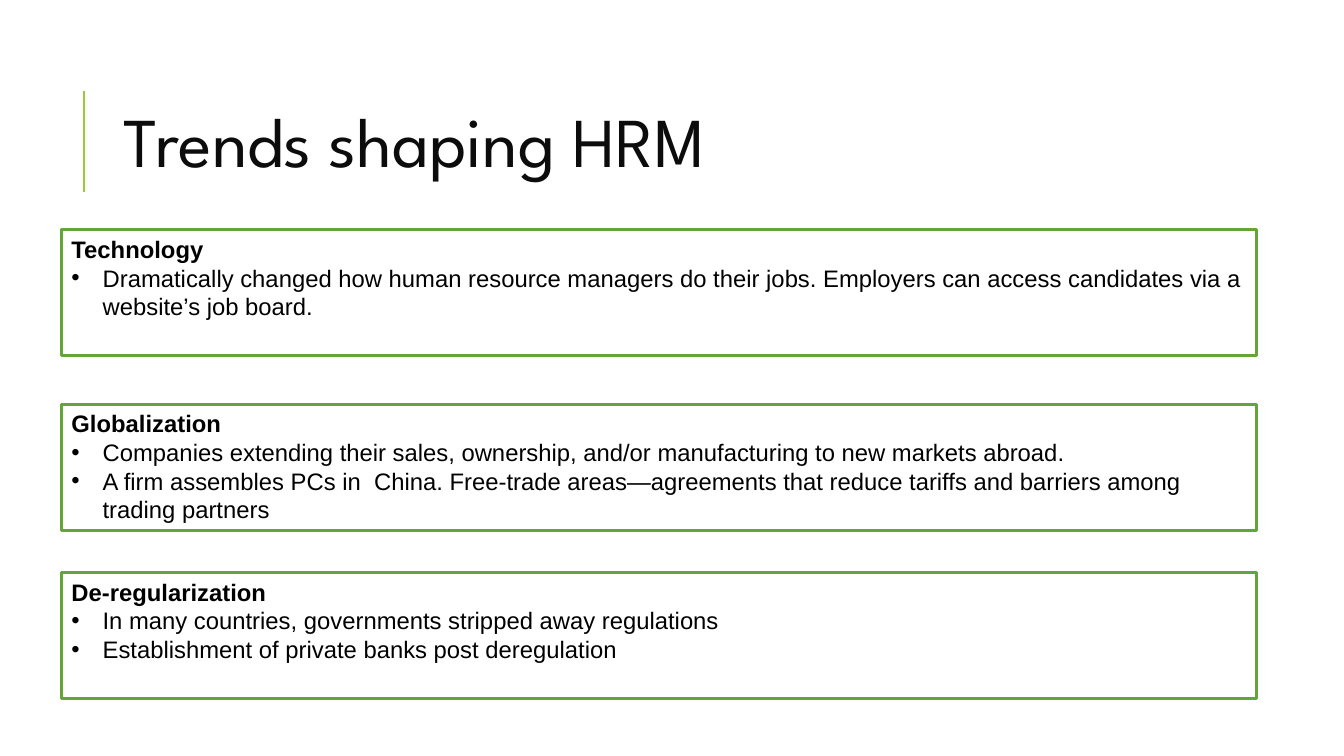
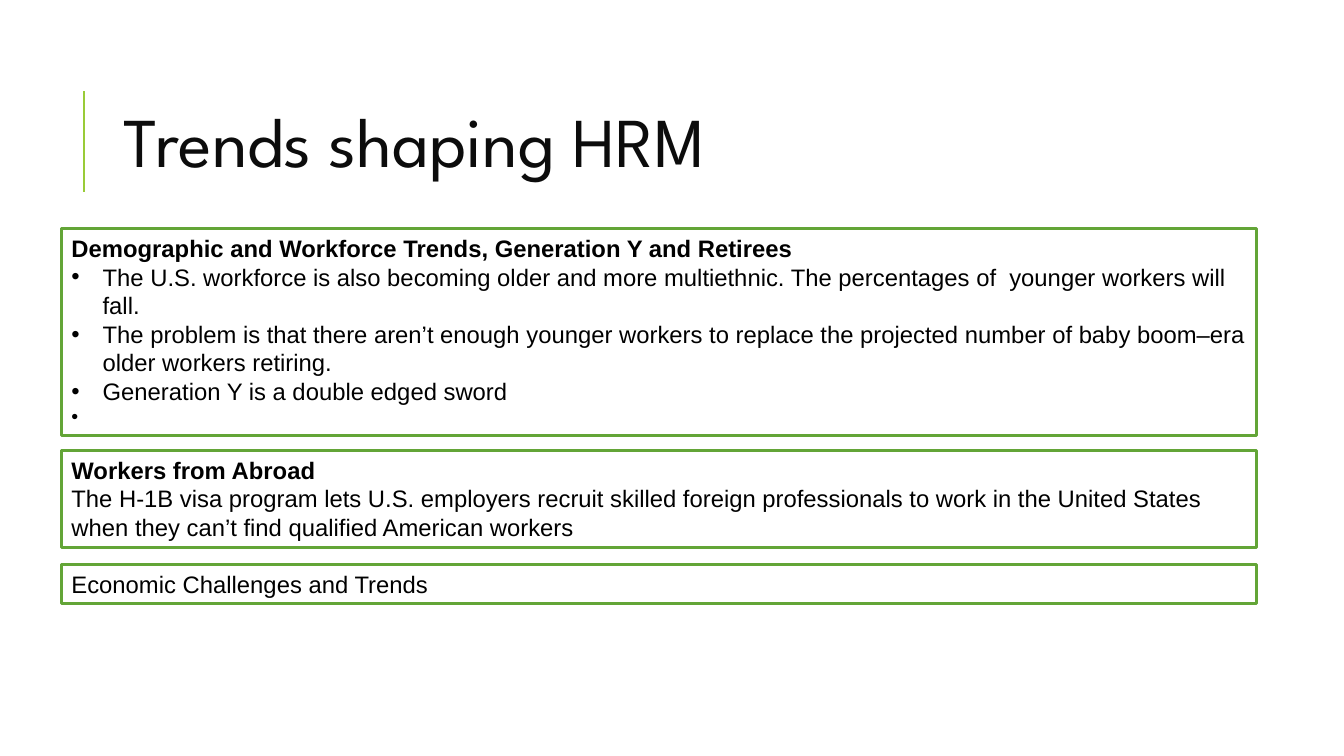
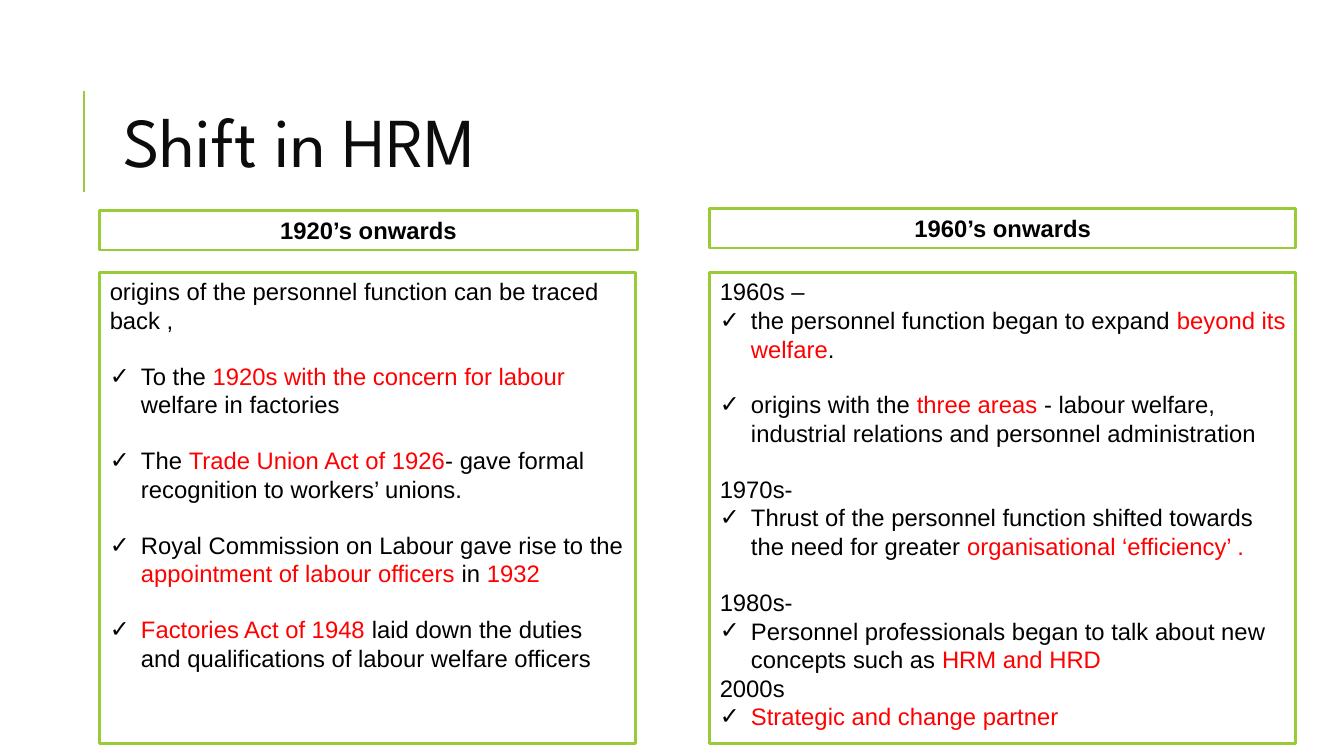
import lxml.etree
import pptx
import pptx.dml.color
import pptx.enum.shapes
import pptx.enum.text
import pptx.oxml.ns
import pptx.util

Inches = pptx.util.Inches
Pt = pptx.util.Pt
ALIGN = pptx.enum.text.PP_ALIGN
ANCHOR = pptx.enum.text.MSO_ANCHOR

WIDE_LEFT, WIDE_WIDTH = 0.61, 11.85
DOT, CHECK = "•", "✓"


def color(value):
    return pptx.dml.color.RGBColor.from_string(value)


def add_child(parent, tag, **attributes):
    return lxml.etree.SubElement(parent, pptx.oxml.ns.qn(tag), **attributes)


def set_bullet(paragraph, character):
    indent = Inches(0.31)
    properties = paragraph._p.get_or_add_pPr()
    properties.set("marL", str(indent))
    properties.set("indent", str(-indent))
    add_child(add_child(properties, "a:buClr"), "a:srgbClr", val=Deck.black)
    add_child(properties, "a:buFont", typeface=Deck.body_font)
    add_child(properties, "a:buChar", char=character)


def write(paragraph, text, *, font, size, ink, bold=False, bullet=None,
          align=ALIGN.LEFT, gap=False, line_spacing=None):
    """Fill a paragraph; parts between asterisks are red, gap leaves one line above."""
    if bullet:
        set_bullet(paragraph, bullet)
    paragraph.alignment = align
    if gap:
        paragraph.space_before = Pt(19.5)
    if line_spacing:
        paragraph.line_spacing = line_spacing
    for position, part in enumerate(text.split("*")):
        if part:
            run = paragraph.add_run()
            run.text = part
            run.font.name = font
            run.font.size = Pt(size)
            run.font.bold = bold
            run.font.color.rgb = color(Deck.red if position % 2 else ink)


class Deck:
    """Holds the shared style and the slide being built."""
    title_font, body_font = "League Spartan", "Arial"
    title_ink, black, white, red = "0C0C0C", "000000", "FFFFFF", "FF0000"
    green, lime = "63A537", "99CB38"

    def __init__(self):
        self.presentation = pptx.Presentation()
        self.presentation.slide_width = Inches(13.33)
        self.presentation.slide_height = Inches(7.5)
        self.slide = None

    def add_slide(self, title):
        self.slide = self.presentation.slides.add_slide(self.presentation.slide_layouts[5])
        self.add_title_rule()
        shape = self.slide.shapes.title
        shape.left, shape.top = Inches(1.12), Inches(0.64)
        shape.width, shape.height = Inches(10.63), Inches(1.64)
        frame = self.format_frame(shape, ANCHOR.MIDDLE)
        write(frame.paragraphs[0], title, font=self.title_font, size=50,
              ink=self.title_ink, line_spacing=0.8)

    def add_title_rule(self):
        rule = self.slide.shapes.add_connector(
            pptx.enum.shapes.MSO_CONNECTOR.STRAIGHT,
            Inches(0.83), Inches(1.9), Inches(0.83), Inches(0.9))
        rule.line.color.rgb = color(self.lime)
        rule.line.width = Pt(1.5)
        add_child(rule._element.spPr, "a:effectLst")

    def format_frame(self, shape, anchor):
        frame = shape.text_frame
        frame.word_wrap = True
        frame.auto_size = pptx.enum.text.MSO_AUTO_SIZE.NONE
        frame.vertical_anchor = anchor
        frame.margin_left = frame.margin_right = Inches(0.1)
        frame.margin_top = frame.margin_bottom = Inches(0.05)
        return frame

    def add_box(self, left, top, width, height, border, lines):
        """Draw a bordered box; each line is a dict of text and format."""
        shape = self.slide.shapes.add_shape(
            pptx.enum.shapes.MSO_SHAPE.RECTANGLE,
            Inches(left), Inches(top), Inches(width), Inches(height))
        shape.shadow.inherit = False
        shape.fill.solid()
        shape.fill.fore_color.rgb = color(self.white)
        shape.line.color.rgb = color(border)
        shape.line.width = Pt(2)
        frame = self.format_frame(shape, ANCHOR.TOP)
        for index, line in enumerate(lines):
            paragraph = frame.add_paragraph() if index else frame.paragraphs[0]
            write(paragraph, **{"font": self.body_font, "size": 17,
                                "ink": self.black, **line})

    def add_trend(self, top, height, *lines):
        self.add_box(WIDE_LEFT, top, WIDE_WIDTH, height, self.green, lines)

    def add_era(self, left, header_top, header_width, body_width, header, lines):
        heading = dict(text=header, bold=True, align=ALIGN.CENTER)
        self.add_box(left, 2.7, body_width, 4.68, self.lime, lines)
        self.add_box(left, header_top, header_width, 0.39, self.lime, [heading])


def heading(text):
    return dict(text=text, bold=True)


def plain(text, **style):
    return dict(text=text, **style)


def dot(text, **style):
    return dict(text=text, bullet=DOT, **style)


def check(text, **style):
    return dict(text=text, bullet=CHECK, **style)


def main():
    deck = Deck()

    deck.add_slide("Trends shaping HRM")
    deck.add_trend(
        2.28, 1.25, heading("Technology"),
        dot("Dramatically changed how human resource managers do their jobs. "
            "Employers can access candidates via a website’s job board."))
    deck.add_trend(
        4.01, 1.25, heading("Globalization"),
        dot("Companies extending their sales, ownership, and/or manufacturing "
            "to new markets abroad."),
        dot("A firm assembles PCs in  China. Free-trade areas—agreements that reduce "
            "tariffs and barriers among trading partners"))
    deck.add_trend(
        5.68, 1.25, heading("De-regularization"),
        dot("In many countries, governments stripped away regulations"),
        dot("Establishment of private banks post deregulation"))

    deck.add_slide("Trends shaping HRM")
    deck.add_trend(
        2.27, 2.05, heading("Demographic and Workforce Trends, Generation Y and Retirees"),
        dot("The U.S. workforce is also becoming older and more multiethnic. "
            "The percentages of  younger workers will fall."),
        dot("The problem is that there aren’t enough younger workers to replace the "
            "projected number of baby boom–era older workers retiring."),
        dot("Generation Y is a double edged sword"),
        dot(" ", size=14))
    deck.add_trend(
        4.47, 0.96, heading("Workers from Abroad"),
        plain("The H-1B visa program lets U.S. employers recruit skilled foreign "
              "professionals to work in the United States when they can’t find "
              "qualified American workers"))
    deck.add_trend(5.6, 0.39, plain("Economic Challenges and Trends"))

    deck.add_slide("Shift in HRM")
    deck.add_era(0.99, 2.09, 5.33, 5.31, "1920’s onwards", [
        plain("origins of the personnel function can be traced back ,"),
        check("To the *1920s with the concern for labour *welfare in factories", gap=True),
        check("The *Trade Union Act of 1926*- gave formal recognition to "
              "workers’ unions.", gap=True),
        check("Royal Commission on Labour gave rise to the "
              "*appointment of labour officers *in *1932*", gap=True),
        check("*Factories Act of 1948 *laid down the duties and qualifications "
              "of labour welfare officers", gap=True)])
    deck.add_era(7.04, 2.07, 5.81, 5.81, "1960’s onwards", [
        plain("1960s –"),
        check("the personnel function began to expand *beyond its welfare*."),
        check("origins with the *three areas *- labour welfare, industrial relations "
              "and personnel administration", gap=True),
        plain("1970s-", gap=True),
        check("Thrust of the personnel function shifted towards the need for greater "
              "*organisational ‘efficiency’ .*"),
        plain("1980s-", gap=True),
        check("Personnel professionals began to talk about new concepts such as "
              "*HRM and HRD*"),
        plain("2000s"),
        check("*Strategic and change partner*")])

    deck.presentation.save("out.pptx")


if __name__ == "__main__":
    main()
